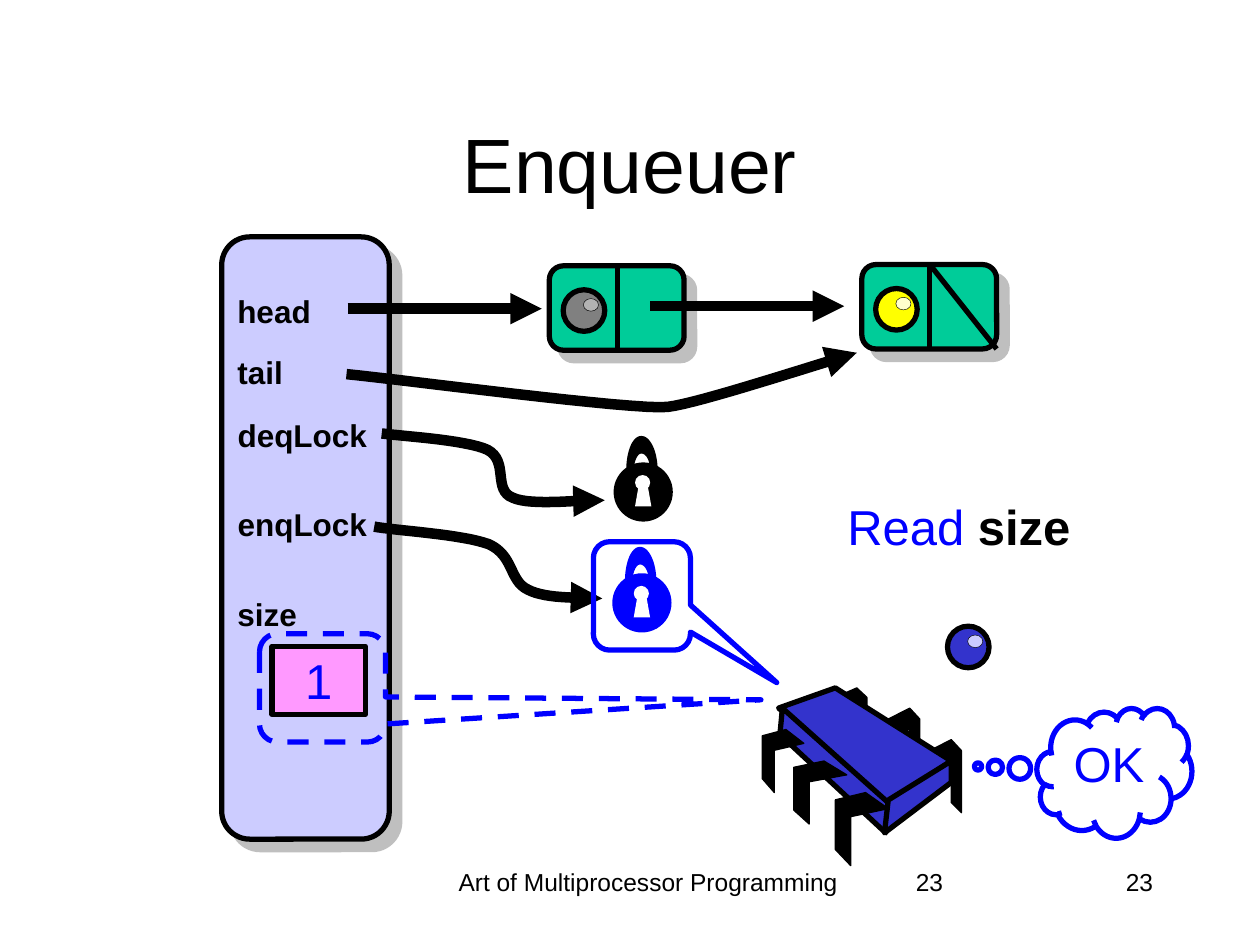
from lxml import etree
from pptx import Presentation
from pptx.dml.color import RGBColor
from pptx.enum.dml import MSO_LINE
from pptx.enum.shapes import MSO_CONNECTOR, MSO_SHAPE
from pptx.enum.text import MSO_ANCHOR, PP_ALIGN
from pptx.oxml.ns import qn
from pptx.util import Inches, Pt

LEFT, CENTER, RIGHT = PP_ALIGN.LEFT, PP_ALIGN.CENTER, PP_ALIGN.RIGHT
TOP, MIDDLE = MSO_ANCHOR.TOP, MSO_ANCHOR.MIDDLE
ROUNDED, OVAL, RECT = MSO_SHAPE.ROUNDED_RECTANGLE, MSO_SHAPE.OVAL, MSO_SHAPE.RECTANGLE
BUBBLE, CLOUD = MSO_SHAPE.ROUNDED_RECTANGULAR_CALLOUT, MSO_SHAPE.CLOUD_CALLOUT
STRAIGHT, DASH = MSO_CONNECTOR.STRAIGHT, MSO_LINE.DASH

COLORS = {
    "black": "000000", "white": "FFFFFF", "blue": "0000FF", "lavender": "CCCCFF",
    "green": "00CC99", "gray": "808080", "silver": "B2B2B2", "yellow": "FFFF00",
    "cream": "FFFFCC", "pink": "FF99FF", "indigo": "3333CC",
}
FONT = "Arial"
OUTLINE, ARROW = 3, 6
CURVE_STEPS = 16
ROUNDING = 0.167

FIELD_LEFT = 1.78
FIELDS = {"head": (2.27, 0.79), "tail": (2.75, 0.57), "deqLock": (3.25, 1.24),
          "enqLock": (3.96, 1.24), "size": (4.67, 0.68)}
NODE_WIDTH, NODE_HEIGHT = 1.07, 0.67

# Leg outlines as shares of the leg's width and height.
BACK_LEG = [(0, 0.15), (0.68, 0), (1, 0.15), (1, 1), (0.68, 0.86), (0.68, 0.29), (0, 0.43)]
FRONT_LEG = [(0.57, 0), (1, 0.22), (0.29, 0.33), (0.29, 1), (0, 0.78), (0, 0.1)]
BACK_LEGS = [(7.38, 5.87, 0.25, 0.58), (7.05, 5.62, 0.25, 0.58), (6.63, 5.46, 0.25, 0.5)]
FRONT_LEGS = [(6.63, 6.29, 0.42, 0.58), (6.3, 6.04, 0.42, 0.5), (6.05, 5.79, 0.33, 0.5)]
CHIP_FACES = [
    [(6.63, 5.46), (7.55, 6.04), (7.03, 6.39), (6.18, 5.62)],
    [(6.21, 5.62), (7.05, 6.37), (7.03, 6.61), (6.19, 5.83)],
    [(7.55, 6.04), (7.55, 6.21), (7.02, 6.61), (7.05, 6.35)],
]

# Outlines: pairs are corners, six numbers are a Bezier segment.
KEYHOLE_SLOT = [(0.17, 0.35), (0.2, 0.18), (0.27, 0.18), (0.3, 0.35)]
SHACKLE = [(0.16, 0.07), (0.16, -0.01, 0.19, -0.07, 0.22, -0.07),
           (0.26, -0.07, 0.29, -0.01, 0.29, 0.07), (0.35, 0.07),
           (0.35, -0.09, 0.29, -0.21, 0.22, -0.21), (0.15, -0.21, 0.1, -0.09, 0.1, 0.07)]
TAIL_ARROW = [(2.75, 2.97), (3.17, 3.01, 5.04, 3.26, 5.3, 3.23),
              (5.55, 3.2, 6.49, 2.89, 6.8, 2.8)]
DEQ_ARROW = [(3.03, 3.44), (3.17, 3.46, 3.7, 3.49, 3.87, 3.57),
             (4.04, 3.66, 3.91, 3.89, 4.07, 3.95), (4.22, 4.02, 4.65, 3.96, 4.8, 3.97)]
ENQ_ARROW = [(2.97, 4.18), (3.12, 4.21, 3.67, 4.24, 3.88, 4.32),
             (4.08, 4.41, 4.04, 4.61, 4.19, 4.68), (4.34, 4.76, 4.65, 4.74, 4.78, 4.75)]


def rgb(name):
    return RGBColor.from_string(COLORS[name])


def paint(shape, fill=None, line=None, width=OUTLINE):
    shape.shadow.inherit = False
    for part, color in ((shape.fill, fill), (shape.line.fill, line)):
        if color:
            part.solid()
            part.fore_color.rgb = rgb(color)
        else:
            part.background()
    if line:
        shape.line.width = Pt(width)


def add_shape(slide, kind, box, fill=None, line=None, width=OUTLINE, adjust=()):
    shape = slide.shapes.add_shape(kind, *map(Inches, box))
    for index, value in enumerate(adjust):
        shape.adjustments[index] = value
    paint(shape, fill, line, width)
    return shape


def cast_shadow(shape):
    effects = shape._element.spPr.find(qn("a:effectLst"))
    shadow = etree.SubElement(effects, qn("a:outerShdw"), dist=str(Pt(8.5)),
                              dir="2700000", algn="ctr", rotWithShape="0")
    tint = etree.SubElement(shadow, qn("a:srgbClr"), val=COLORS["gray"])
    etree.SubElement(tint, qn("a:alpha"), val="50000")


def add_arrowhead(line):
    etree.SubElement(line._get_or_add_ln(), qn("a:tailEnd"), type="triangle")


def add_line(slide, start, end, width=OUTLINE, arrow=False):
    connector = slide.shapes.add_connector(STRAIGHT, *map(Inches, start + end))
    connector.line.color.rgb = rgb("black")
    connector.line.width = Pt(width)
    if arrow:
        add_arrowhead(connector.line)
    etree.SubElement(connector._element.spPr, qn("a:effectLst"))


def flatten(outline):
    """Turn corners and Bezier segments into a list of points."""
    points = [outline[0]]
    for step in outline[1:]:
        if len(step) == 2:
            points.append(step)
            continue
        controls = [points[-1], step[:2], step[2:4], step[4:]]
        for i in range(1, CURVE_STEPS + 1):
            t = i / CURVE_STEPS
            weights = ((1 - t) ** 3, 3 * t * (1 - t) ** 2, 3 * t * t * (1 - t), t ** 3)
            points.append(tuple(sum(w * c[axis] for w, c in zip(weights, controls))
                                for axis in (0, 1)))
    return points


def add_outline(slide, outline, origin=(0, 0), scale=(1, 1), closed=True, **style):
    points = [tuple(Inches(o + s * p) for o, s, p in zip(origin, scale, point))
              for point in flatten(outline)]
    builder = slide.shapes.build_freeform(*points[0])
    builder.add_line_segments(points[1:], close=closed)
    shape = builder.convert_to_shape()
    paint(shape, **style)
    return shape


def add_curved_arrow(slide, outline):
    curve = add_outline(slide, outline, closed=False, line="black", width=ARROW)
    add_arrowhead(curve.line)


def write(frame, runs, size, align=CENTER, anchor=TOP, wrap=True):
    """Fill a frame with (text, colour, bold) runs."""
    frame.word_wrap = wrap
    frame.vertical_anchor = anchor
    paragraph = frame.paragraphs[0]
    paragraph.alignment = align
    for text, color, bold in runs:
        run = paragraph.add_run()
        run.text = text
        for key, value in {"name": FONT, "size": Pt(size), "bold": bold}.items():
            setattr(run.font, key, value)
        run.font.color.rgb = rgb(color)


def add_text(slide, box, runs, size, **layout):
    write(slide.shapes.add_textbox(*map(Inches, box)).text_frame, runs, size, **layout)


def add_bead(slide, x, y, color, glint):
    add_shape(slide, OVAL, (x, y, 0.33, 0.33), color, "black")
    add_shape(slide, OVAL, (x + 0.16, y + 0.07, 0.12, 0.1), glint, "black", 0.25)


def add_node(slide, x, y, color, glint, last=False):
    cast_shadow(add_shape(slide, ROUNDED, (x, y, NODE_WIDTH, NODE_HEIGHT),
                          "green", "black", adjust=[ROUNDING]))
    middle, bottom = x + 0.54, y + NODE_HEIGHT
    add_line(slide, (middle, y), (middle, bottom))
    if last:
        add_line(slide, (middle, y), (x + NODE_WIDTH, bottom))
    add_bead(slide, x + 0.11, y + 0.19, color, glint)


def add_lock(slide, x, y, color):
    add_shape(slide, OVAL, (x, y, 0.47, 0.47), color)
    add_shape(slide, OVAL, (x + 0.17, y + 0.1, 0.12, 0.12), "white")
    add_outline(slide, KEYHOLE_SLOT, (x, y), fill="white")
    add_outline(slide, SHACKLE, (x, y), fill=color)


def add_legs(slide, outline, boxes):
    for x, y, width, height in boxes:
        add_outline(slide, outline, (x, y), (width, height),
                    fill="black", line="black", width=0.75)


def add_chip(slide):
    add_legs(slide, BACK_LEG, BACK_LEGS)
    for face in CHIP_FACES:
        add_outline(slide, face, fill="indigo", line="black")
    add_legs(slide, FRONT_LEG, FRONT_LEGS)


def add_title(slide, text):
    title = slide.shapes.title
    title.left, title.top, title.width, title.height = map(Inches, (0.75, 0.67, 8.5, 1.25))
    write(title.text_frame, [(text, "black", False)], 44, anchor=MIDDLE)


def main():
    prs = Presentation()
    prs.slide_width, prs.slide_height = Inches(10), Inches(7.5)
    slide = prs.slides.add_slide(prs.slide_layouts[5])
    add_title(slide, "Enqueuer")

    cast_shadow(add_shape(slide, ROUNDED, (1.76, 1.88, 1.33, 4.78),
                          "lavender", "black", adjust=[ROUNDING]))
    for text, left, width, align in (("Art of Multiprocessor Programming", 3.42, 3.45, CENTER),
                                     ("23", 7.17, 2.08, LEFT), ("23", 7.17, 2.08, RIGHT)):
        add_text(slide, (left, 6.83, width, 0.5), [(text, "black", False)], 14, align=align)

    add_line(slide, (2.76, 2.45), (4.3, 2.45), ARROW, arrow=True)
    add_node(slide, 4.36, 2.11, "gray", "silver")
    add_node(slide, 6.84, 2.1, "yellow", "cream", last=True)
    add_line(slide, (5.16, 2.43), (6.7, 2.43), ARROW, arrow=True)
    add_curved_arrow(slide, TAIL_ARROW)
    add_lock(slide, 4.87, 3.67, "black")
    add_curved_arrow(slide, DEQ_ARROW)
    add_curved_arrow(slide, ENQ_ARROW)

    add_shape(slide, BUBBLE, (4.71, 4.3, 0.77, 0.86), line="blue", adjust=[1.39, 0.8, ROUNDING])
    counter = add_shape(slide, RECT, (2.16, 5.13, 0.74, 0.54), "pink", "black")
    write(counter.text_frame, [("1", "blue", False)], 28, anchor=MIDDLE, wrap=False)
    add_text(slide, (5.76, 3.89, 3.7, 0.57),
             [("Read ", "blue", False), ("size", "black", True)], 28)
    size_bubble = add_shape(slide, BUBBLE, (2.06, 5.03, 1, 0.86), line="blue",
                            adjust=[3.48, 0.11, ROUNDING])
    size_bubble.line.dash_style = DASH
    thought = add_shape(slide, CLOUD, (8.23, 5.62, 1.23, 1.03), line="blue",
                        adjust=[-0.88, -0.05])
    write(thought.text_frame, [("OK", "blue", False)], 28)

    add_chip(slide)
    add_bead(slide, 7.52, 4.97, "indigo", "lavender")
    add_lock(slide, 4.86, 4.55, "blue")
    for field, (top, width) in FIELDS.items():
        add_text(slide, (FIELD_LEFT, top, width, 0.4), [(field, "black", True)], 18, wrap=False)

    prs.save("out.pptx")


if __name__ == "__main__":
    main()
